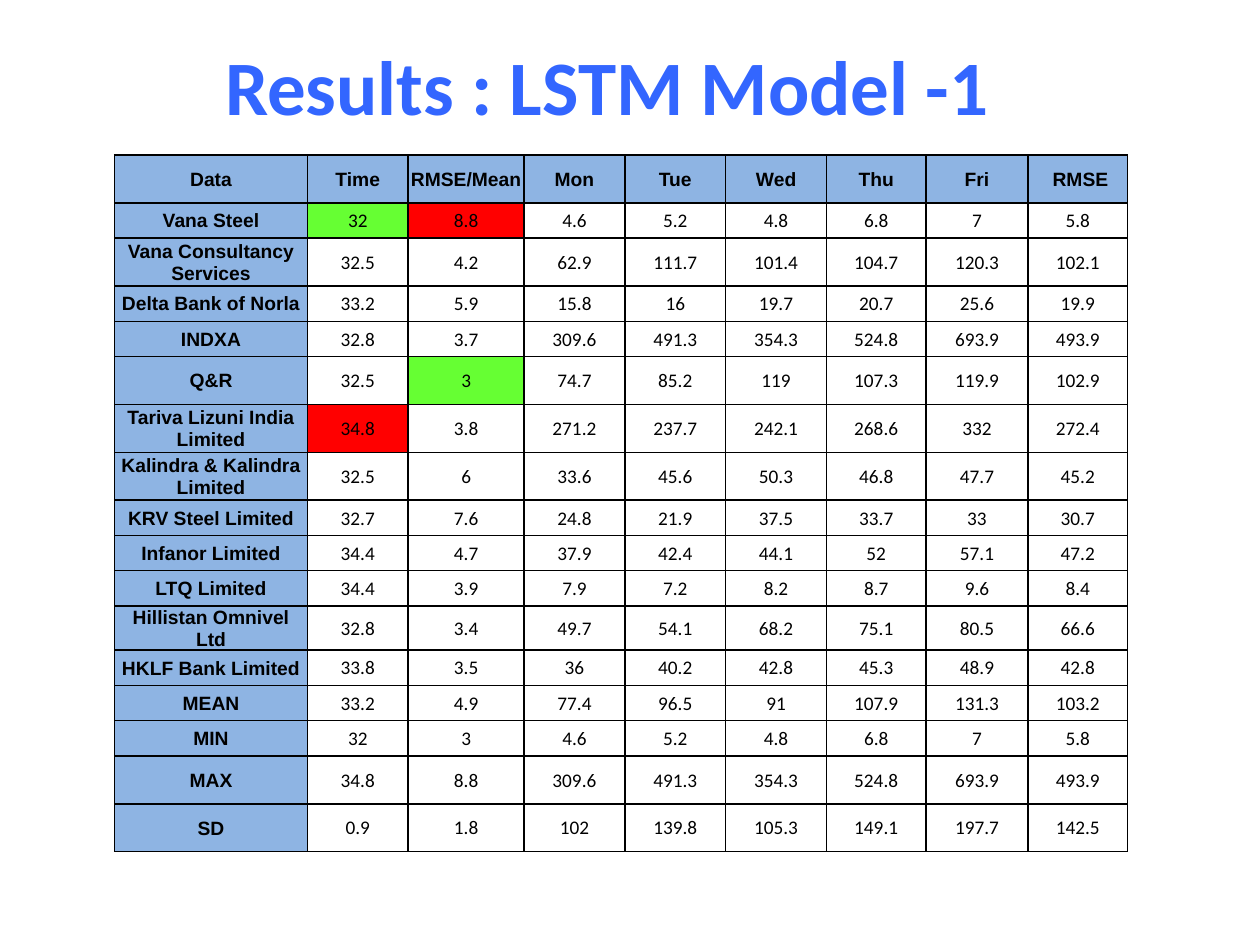
import pptx
import pptx.dml.color
import pptx.enum.text
import pptx.oxml.ns
import pptx.util
from dataclasses import dataclass
from lxml import etree

Inches = pptx.util.Inches
Pt = pptx.util.Pt
MIDDLE = pptx.enum.text.MSO_ANCHOR.MIDDLE
CENTER = pptx.enum.text.PP_ALIGN.CENTER


@dataclass(frozen=True)
class Theme:
    title: str = "3366FF"
    text: str = "000000"
    border: str = "000000"
    header: str = "8EB4E3"
    plain: str = "FFFFFF"
    best: str = "66FF33"
    worst: str = "FF0000"
    label_font: str = "Arial"
    value_font: str = "Calibri"
    title_size: int = 44
    table_size: int = 11
    border_width: int = 1


THEME = Theme()

COLUMNS = [("Data", 1.53), ("Time", 0.8), ("RMSE/Mean", 0.92), ("Mon", 0.8),
           ("Tue", 0.8), ("Wed", 0.8), ("Thu", 0.79), ("Fri", 0.81), (" RMSE", 0.79)]

LOW, MID, TALL = 0.28, 0.35, 0.38
HEADER_HEIGHT = TALL

ROWS = [
    ("Vana Steel", LOW, "32 8.8 4.6 5.2 4.8 6.8 7 5.8"),
    ("Vana Consultancy Services", TALL, "32.5 4.2 62.9 111.7 101.4 104.7 120.3 102.1"),
    ("Delta Bank of Norla", LOW, "33.2 5.9 15.8 16 19.7 20.7 25.6 19.9"),
    ("INDXA", LOW, "32.8 3.7 309.6 491.3 354.3 524.8 693.9 493.9"),
    ("Q&R", TALL, "32.5 3 74.7 85.2 119 107.3 119.9 102.9"),
    ("Tariva Lizuni India Limited", TALL, "34.8 3.8 271.2 237.7 242.1 268.6 332 272.4"),
    ("Kalindra & Kalindra Limited", TALL, "32.5 6 33.6 45.6 50.3 46.8 47.7 45.2"),
    ("KRV Steel Limited", LOW, "32.7 7.6 24.8 21.9 37.5 33.7 33 30.7"),
    ("Infanor Limited", LOW, "34.4 4.7 37.9 42.4 44.1 52 57.1 47.2"),
    ("LTQ Limited", LOW, "34.4 3.9 7.9 7.2 8.2 8.7 9.6 8.4"),
    ("Hillistan Omnivel Ltd", MID, "32.8 3.4 49.7 54.1 68.2 75.1 80.5 66.6"),
    ("HKLF Bank Limited", LOW, "33.8 3.5 36 40.2 42.8 45.3 48.9 42.8"),
    ("MEAN", LOW, "33.2 4.9 77.4 96.5 91 107.9 131.3 103.2"),
    ("MIN", LOW, "32 3 4.6 5.2 4.8 6.8 7 5.8"),
    ("MAX", TALL, "34.8 8.8 309.6 491.3 354.3 524.8 693.9 493.9"),
    ("SD", TALL, "0.9 1.8 102 139.8 105.3 149.1 197.7 142.5"),
]

# (row, column) of the best and worst time and relative error
HIGHLIGHTS = {(1, 1): THEME.best, (5, 2): THEME.best,
              (1, 2): THEME.worst, (6, 1): THEME.worst}

CELL_FORMAT = {"vertical_anchor": MIDDLE, "margin_left": Inches(0.01),
               "margin_right": Inches(0.01), "margin_top": Inches(0.01),
               "margin_bottom": 0}


def set_all(obj, values):
    for name, value in values.items():
        setattr(obj, name, value)


def write(tf, text, font, size, color, bold):
    p = tf.paragraphs[0]
    p.alignment = CENTER
    r = p.add_run()
    r.text = text
    set_all(r.font, {"name": font, "size": Pt(size), "bold": bold})
    r.font.color.rgb = pptx.dml.color.RGBColor.from_string(color)


def add_borders(cell):
    """Draw the four edges; must run before the cell gets its fill."""
    qn = pptx.oxml.ns.qn
    tc_pr = cell._tc.get_or_add_tcPr()
    for edge in ("a:lnL", "a:lnR", "a:lnT", "a:lnB"):
        ln = etree.SubElement(tc_pr, qn(edge), w=str(Pt(THEME.border_width)))
        fill = etree.SubElement(ln, qn("a:solidFill"))
        etree.SubElement(fill, qn("a:srgbClr"), val=THEME.border)


def format_cell(cell, text, fill, is_label):
    set_all(cell, CELL_FORMAT)
    add_borders(cell)
    cell.fill.solid()
    cell.fill.fore_color.rgb = pptx.dml.color.RGBColor.from_string(fill)
    font = THEME.label_font if is_label else THEME.value_font
    write(cell.text_frame, text, font, THEME.table_size, THEME.text, is_label)


def place_title(s, left, top, width, height):
    sp = s.shapes.title
    set_all(sp, {"left": left, "top": top, "width": width, "height": height})
    tf = sp.text_frame
    set_all(tf, {"vertical_anchor": MIDDLE, "word_wrap": True})
    write(tf, "Results : LSTM Model -1 ", THEME.value_font, THEME.title_size,
          THEME.title, True)


def add_results_table(s, left, top, width, height):
    grid = [[name for name, _ in COLUMNS]]
    grid += [[label, *values.split()] for label, _, values in ROWS]
    heights = [HEADER_HEIGHT] + [h for _, h, _ in ROWS]
    table = s.shapes.add_table(len(grid), len(COLUMNS), left, top, width, height).table
    set_all(table, {"first_row": False, "horz_banding": False})
    for column, (_, w) in zip(table.columns, COLUMNS):
        column.width = Inches(w)
    for row, h in zip(table.rows, heights):
        row.height = Inches(h)
    for i, texts in enumerate(grid):
        for j, text in enumerate(texts):
            is_label = i == 0 or j == 0
            fill = THEME.header if is_label else HIGHLIGHTS.get((i, j), THEME.plain)
            format_cell(table.cell(i, j), text, fill, is_label)


def main():
    prs = pptx.Presentation()
    set_all(prs, {"slide_width": Inches(10), "slide_height": Inches(7.5)})
    s = prs.slides.add_slide(prs.slide_layouts.get_by_name("Title Only"))
    place_title(s, Inches(0.35), Inches(0.35), Inches(9.08), Inches(0.64))
    add_results_table(s, Inches(0.91), Inches(1.23), Inches(8.05), Inches(5.54))
    prs.save("out.pptx")


if __name__ == "__main__":
    main()
